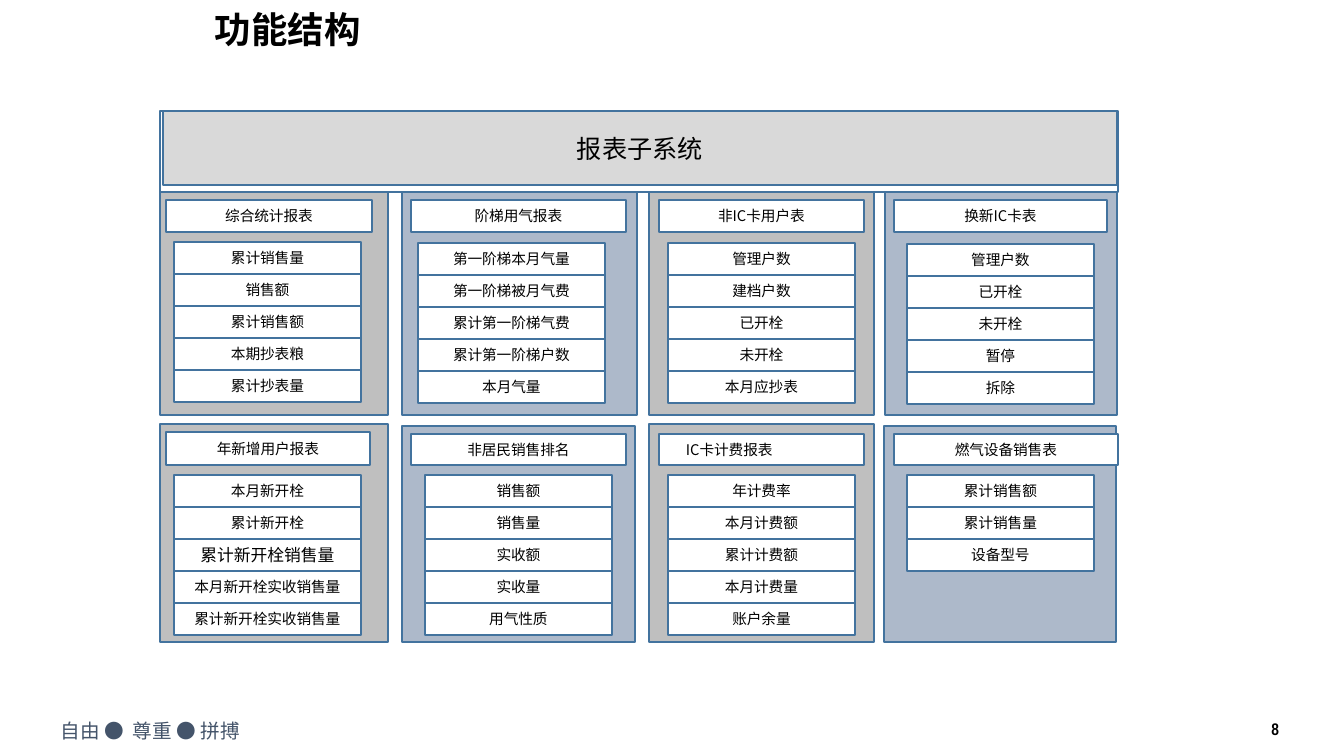
from pptx import Presentation
from pptx.dml.color import RGBColor
from pptx.enum.shapes import MSO_SHAPE as Preset
from pptx.enum.text import MSO_ANCHOR as Anchor, PP_ALIGN as Align
from pptx.oxml.ns import qn
from pptx.util import Pt
from lxml.etree import SubElement

EMU_PER_PIXEL = 914400 / 100.8
CJK_FONT = "Noto Sans CJK SC"
COLORS = {
    "text": "000000", "footer": "44546A", "line": "43739E", "white": "FFFFFF",
    "banner": "D9D9D9", "gray": "BFBFBF", "blue": "ADB9CA",
}
CELL_WIDTH, CELL_HEIGHT = 187, 32
LARGE_ITEM = "累计新开栓销售量"

# Each report: panel box, heading box and list offset within the panel, texts.
REPORTS = [
    ((160, 192, 228, 223), (6, 8, 206, 32), (14, 50), "综合统计报表",
     ["累计销售量", "销售额", "累计销售额", "本期抄表粮", "累计抄表量"]),
    ((402, 192, 235, 223), (9, 8, 215, 32), (16, 51), "阶梯用气报表",
     ["第一阶梯本月气量", "第一阶梯被月气费", "累计第一阶梯气费", "累计第一阶梯户数", "本月气量"]),
    ((649, 192, 225, 223), (10, 8, 205, 32), (19, 51), "非IC卡用户表",
     ["管理户数", "建档户数", "已开栓", "未开栓", "本月应抄表"]),
    ((885, 192, 232, 223), (9, 8, 213, 32), (22, 52), "换新IC卡表",
     ["管理户数", "已开栓", "未开栓", "暂停", "拆除"]),
    ((160, 424, 228, 218), (6, 8, 204, 33), (14, 51), "年新增用户报表",
     ["本月新开栓", "累计新开栓", LARGE_ITEM, "本月新开栓实收销售量", "累计新开栓实收销售量"]),
    ((402, 426, 233, 216), (9, 8, 215, 31), (23, 49), "非居民销售排名",
     ["销售额", "销售量", "实收额", "实收量", "用气性质"]),
    ((649, 424, 225, 218), (10, 10, 205, 31), (19, 51), "IC卡计费报表",
     ["年计费率", "本月计费额", "累计计费额", "本月计费量", "账户余量"]),
    ((884, 426, 232, 216), (10, 8, 224, 31), (23, 49), "燃气设备销售表",
     ["累计销售额", "累计销售量", "设备型号"]),
]


def px(length):
    """Turn pixels into EMU."""
    return round(length * EMU_PER_PIXEL)


def color(name):
    """Look up a colour by its name."""
    return RGBColor.from_string(COLORS[name])


def write(shape, text, *, size, ink="text", font=CJK_FONT, bold=False,
          align=Align.CENTER, anchor=Anchor.MIDDLE):
    """Put one formatted paragraph in a shape and return the paragraph."""
    frame = shape.text_frame
    frame.word_wrap = True
    frame.vertical_anchor = anchor
    paragraph = frame.paragraphs[0]
    paragraph.alignment = align
    run = paragraph.add_run()
    run.text = text
    run.font.size = Pt(size)
    run.font.bold = bold
    run.font.color.rgb = color(ink)
    run.font.name = font
    SubElement(run.font._element, qn("a:ea")).set("typeface", font)
    return paragraph


def add_box(slide, box, fill=None):
    """Draw an outlined rectangle, hollow when no fill is named."""
    shape = slide.shapes.add_shape(Preset.RECTANGLE, *map(px, box))
    shape.shadow.inherit = False
    if fill:
        shape.fill.solid()
        shape.fill.fore_color.rgb = color(fill)
    else:
        shape.fill.background()
    shape.line.color.rgb = color("line")
    shape.line.width = Pt(1)
    return shape


def add_text(slide, box, text, **style):
    """Add a text box and return its paragraph."""
    return write(slide.shapes.add_textbox(*map(px, box)), text, **style)


def add_title(slide, box):
    """Add the slide title."""
    paragraph = add_text(slide, box, "功能结构", size=26, bold=True,
                         align=Align.LEFT, anchor=Anchor.TOP)
    paragraph.line_spacing = 0.9
    paragraph.space_before = Pt(10)


def add_banner(slide, box):
    """Draw the frame across the top and the subsystem name inside it."""
    left, top, width, height = box
    add_box(slide, box)
    banner = add_box(slide, (left + 3, top, width - 4, height - 7), "banner")
    write(banner, "报表子系统", size=18)


def add_report(slide, box, fill, heading_box, list_offset, heading, items):
    """Draw one report panel with its heading and stacked items."""
    left, top = box[:2]
    add_box(slide, box, fill)
    dx, dy, width, height = heading_box
    title = add_box(slide, (left + dx, top + dy, width, height), "white")
    indented = heading == "IC卡计费报表"
    write(title, heading, size=10.5, align=Align.LEFT if indented else Align.CENTER)
    if indented:
        title.text_frame.margin_left = px(27)
    dx, dy = list_offset
    for index, item in enumerate(items):
        cell = add_box(slide, (left + dx, top + dy + index * CELL_HEIGHT,
                               CELL_WIDTH, CELL_HEIGHT), "white")
        write(cell, item, size=12 if item == LARGE_ITEM else 10.5)


def add_footer(slide, box):
    """Add the motto at the left and the page number at the right."""
    left, top, width, height = box
    add_text(slide, (left, top, 350, height), "自由 ●  尊重 ● 拼搏", size=14,
             ink="footer", align=Align.LEFT, anchor=Anchor.TOP)
    add_text(slide, (left + width - 71, top + 3, 71, 23), "8", size=12,
             font="Arial Narrow", bold=True, align=Align.RIGHT)


presentation = Presentation()
presentation.slide_width, presentation.slide_height = px(1344), px(756)
slide = presentation.slides.add_slide(presentation.slide_layouts[6])
add_footer(slide, (51, 714, 1238, 34))
add_title(slide, (205, 7, 640, 59))
for number, (panel_box, *parts) in enumerate(REPORTS):
    add_report(slide, panel_box, ("gray", "blue")[number % 2], *parts)
add_banner(slide, (160, 111, 958, 81))
presentation.save("out.pptx")
